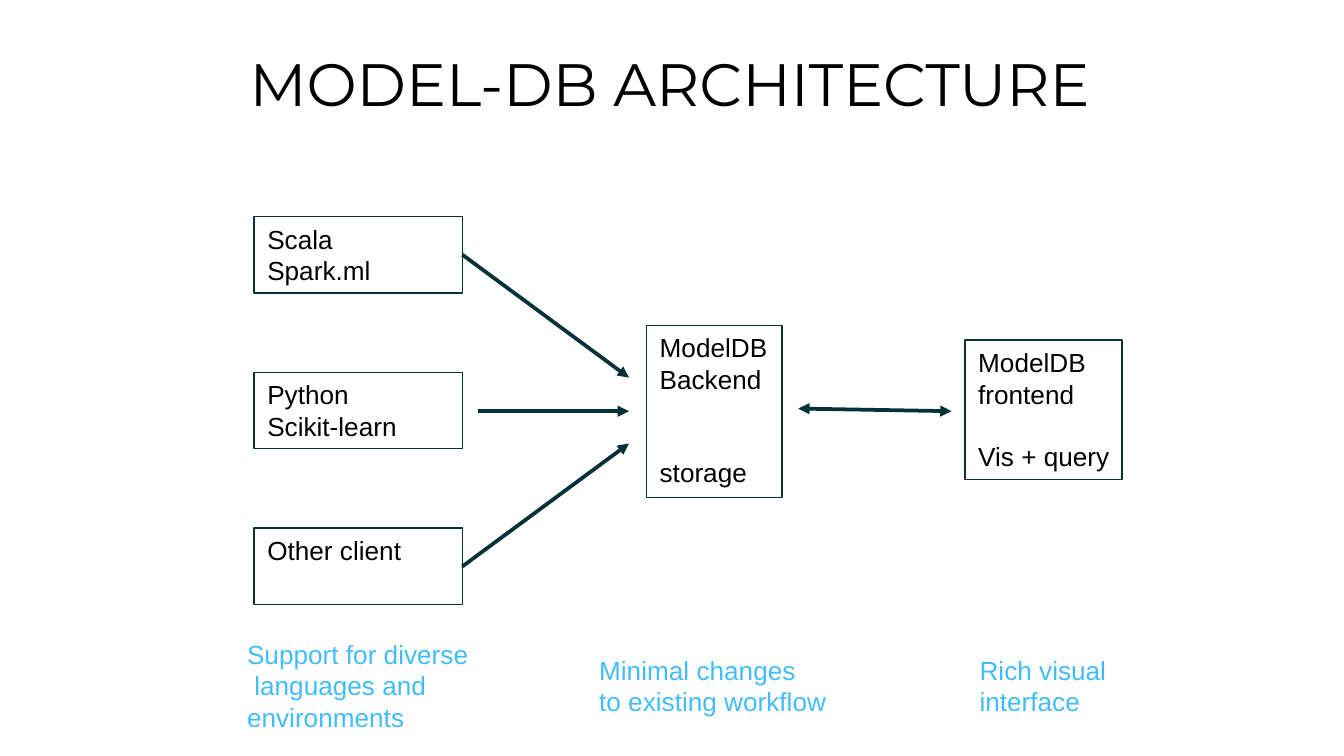
from lxml import etree
from pptx import Presentation
from pptx import util as u
from pptx.dml.color import RGBColor
from pptx.enum import shapes, text
from pptx.oxml import ns

DARK, BLUE, BLACK = "053238", "42BCFC", "000000"
TITLE = "MODEL-DB ARCHITECTURE"
CLIENTS = ["Scala\nSpark.ml", "Python\nScikit-learn", "Other client"]
CLIENT_LEFT, CLIENT_TOP, CLIENT_STEP = 1.89, 1.61, 1.16
CLIENT_SIZE = (1.55, 0.57)
SERVICES = [
    ("ModelDB\nBackend\nstorage", (4.81, 2.42, 1.01, 1.28), 33),
    ("ModelDB frontend\nVis + query", (7.18, 2.53, 1.17, 1.04), 16.5),
]
CAPTIONS = [
    ("Support for diverse\v languages and \venvironments", (1.74, 4.7, 1.86, 0.81)),
    ("Minimal changes\vto existing workflow", (4.36, 4.82, 1.9, 0.57)),
    ("Rich visual\vinterface", (7.19, 4.82, 1.15, 0.57)),
]
ARROWS = [
    ((3.44, 1.9), (4.68, 2.81), ["tailEnd"], 0),
    ((3.44, 4.21), (4.68, 3.3), ["tailEnd"], 2),
    ((3.56, 3.06), (4.68, 3.06), ["tailEnd"], None),
    ((5.94, 3.04), (7.08, 3.06), ["headEnd", "tailEnd"], None),
]
BODY_FRAME = {
    "word_wrap": True,
    "auto_size": text.MSO_AUTO_SIZE.NONE,
    "vertical_anchor": text.MSO_ANCHOR.TOP,
    "margin_right": u.Inches(0.02),
}
TITLE_FRAME = BODY_FRAME | dict.fromkeys(
    ["margin_left", "margin_top", "margin_right", "margin_bottom"], 0)
LEFT = {"alignment": text.PP_ALIGN.LEFT}
CENTERED = {"alignment": text.PP_ALIGN.CENTER, "line_spacing": 0.8}
BODY_FONT = {"name": "Arial", "size": u.Pt(14)}
TITLE_FONT = {"name": "Montserrat", "size": u.Pt(32)}


def inches(values):
    return [u.Inches(value) for value in values]


def set_color(color_format, value):
    color_format.rgb = RGBColor.from_string(value)


def apply(target, values):
    for name, value in values.items():
        setattr(target, name, value)


def write(shape, content, color, frame=BODY_FRAME, layout=LEFT, font=BODY_FONT):
    apply(shape.text_frame, frame)
    shape.text_frame.text = content
    for paragraph in shape.text_frame.paragraphs:
        apply(paragraph, layout)
        for run in paragraph.runs:
            apply(run.font, font)
            set_color(run.font.color, color)


def set_line(line, width):
    line.width = u.Pt(width)
    set_color(line.color, DARK)


def add_box(slide, content, place, gap=0):
    shape = slide.shapes.add_shape(shapes.MSO_SHAPE.RECTANGLE, *inches(place))
    shape.shadow.inherit = False
    shape.fill.background()
    set_line(shape.line, 0.75)
    write(shape, content, BLACK)
    if gap:
        shape.text_frame.paragraphs[-1].space_before = u.Pt(gap)
    return shape


def add_arrow(slide, start, end, heads):
    connector = slide.shapes.add_connector(
        shapes.MSO_CONNECTOR.STRAIGHT, *inches(start + end))
    set_line(connector.line, 2)
    outline = connector._element.spPr.find(ns.qn("a:ln"))
    for head in heads:
        etree.SubElement(outline, ns.qn(f"a:{head}"), type="triangle")
    etree.SubElement(connector._element.spPr, ns.qn("a:effectLst"))
    return connector


def main():
    presentation = Presentation()
    presentation.slide_width = u.Inches(10)
    presentation.slide_height = presentation.slide_width * 9 // 16
    slide = presentation.slides.add_slide(presentation.slide_layouts[5])

    title = slide.shapes.title
    title.left, title.top, title.width, title.height = inches((0.63, 0.45, 8.71, 0.29))
    write(title, TITLE, BLACK, TITLE_FRAME, CENTERED, TITLE_FONT)

    clients = [
        add_box(slide, content, (CLIENT_LEFT, CLIENT_TOP + row * CLIENT_STEP, *CLIENT_SIZE))
        for row, content in enumerate(CLIENTS)
    ]
    for content, place, gap in SERVICES:
        add_box(slide, content, place, gap)
    for start, end, heads, client in ARROWS:
        connector = add_arrow(slide, start, end, heads)
        if client is not None:
            connector.begin_connect(clients[client], 3)
    for content, place in CAPTIONS:
        write(slide.shapes.add_textbox(*inches(place)), content, BLUE)

    presentation.save("out.pptx")


if __name__ == "__main__":
    main()
